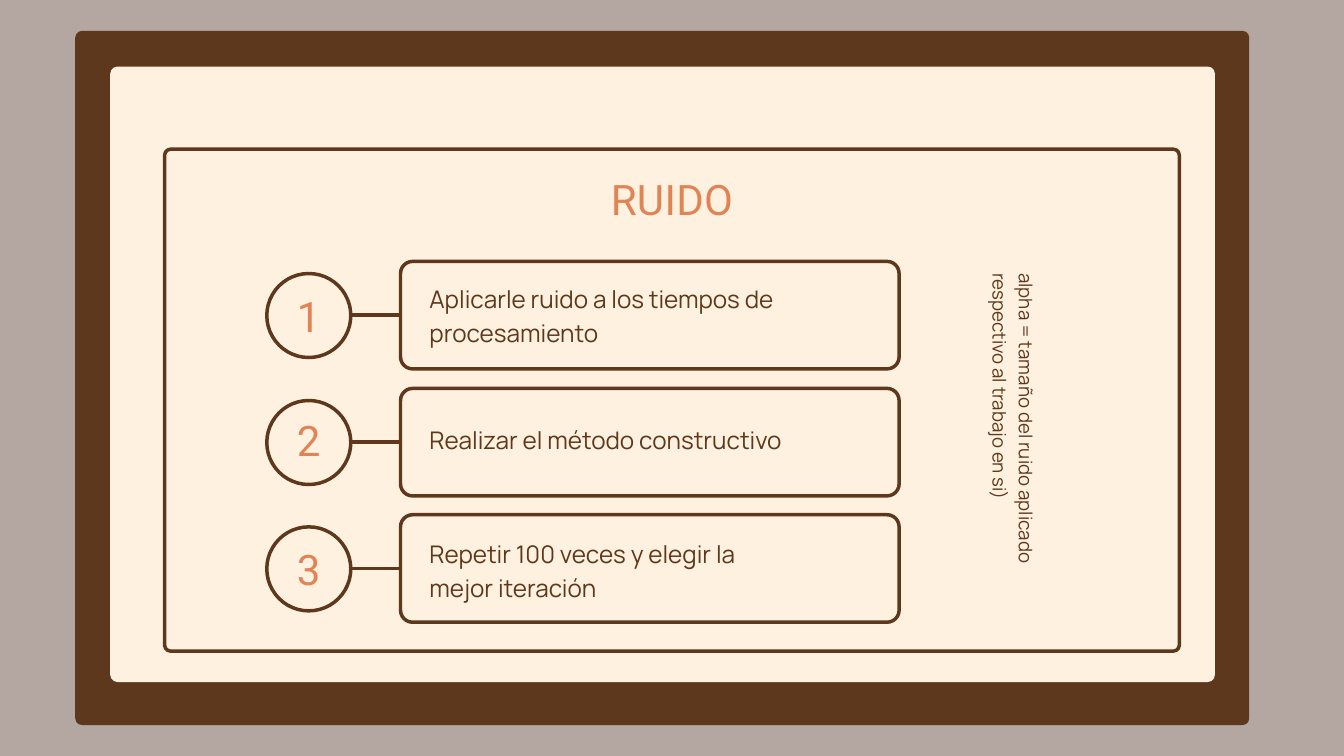
from dataclasses import dataclass

from pptx import Presentation
from pptx.dml.color import RGBColor
from pptx.enum.shapes import MSO_CONNECTOR, MSO_SHAPE
from pptx.enum.text import MSO_AUTO_SIZE, PP_ALIGN
from pptx.oxml.xmlchemy import OxmlElement
from pptx.shapes.autoshape import Shape
from pptx.slide import Slide
from pptx.util import Emu, Pt

ROUND = MSO_SHAPE.ROUNDED_RECTANGLE
OVAL = MSO_SHAPE.OVAL
LINE = MSO_CONNECTOR.STRAIGHT
GROW = MSO_AUTO_SIZE.SHAPE_TO_FIT_TEXT
LEFT = PP_ALIGN.LEFT
CENTER = PP_ALIGN.CENTER
SCALE = 9144


@dataclass(frozen=True)
class Style:
    font: str
    size: float
    lead: float
    color: str
    align: PP_ALIGN = LEFT
    space: int = 0


@dataclass(frozen=True)
class Theme:
    back: str = "B4A6A1"
    brown: str = "5D381C"
    cream: str = "FFF1DF"
    stroke: float = 3.75
    head: Style = Style("Roboto", 45, 58, "E18455", CENTER, 40)
    body: Style = Style("Manrope", 26, 36.4, "5D381C")
    note: Style = Style("Manrope", 20, 28, "5D381C")


@dataclass(frozen=True)
class Box:
    x: int
    y: int
    w: int
    h: int


@dataclass(frozen=True)
class Step:
    mid: int
    digit: str
    digit_top: int
    text: str
    text_top: int
    text_width: int
    text_height: int


THEME = Theme()
STEPS = (
    Step(469, "1", 427, "Aplicarle ruido a los tiempos de procesamiento", 416, 647, 100),
    Step(658, "2", 612, "Realizar el método constructivo", 626, 665, 50),
    Step(846, "3", 803, "Repetir 100 veces y elegir la mejor iteración", 795, 554, 100),
)


def px(value: int) -> Emu:
    return Emu(value * SCALE)


def place(box: Box) -> tuple[Emu, Emu, Emu, Emu]:
    return px(box.x), px(box.y), px(box.w), px(box.h)


def rgb(color: str) -> RGBColor:
    return RGBColor.from_string(color)


def panel(slide: Slide, box: Box, radius: int = 0, fill: str = "") -> None:
    shape = slide.shapes.add_shape(ROUND if radius else OVAL, *place(box))
    shape.shadow.inherit = False
    if radius:
        shape.adjustments[0] = radius / min(box.w, box.h)
    if fill:
        shape.fill.solid()
        shape.fill.fore_color.rgb = rgb(fill)
        shape.line.fill.background()
    else:
        shape.fill.background()
        shape.line.color.rgb = rgb(THEME.brown)
        shape.line.width = Pt(THEME.stroke)


def link(slide: Slide, start: int, end: int, y: int) -> None:
    line = slide.shapes.add_connector(LINE, px(start), px(y), px(end), px(y))
    line.line.color.rgb = rgb(THEME.brown)
    line.line.width = Pt(THEME.stroke)
    line._element.spPr.append(OxmlElement("a:effectLst"))


def label(slide: Slide, box: Box, text: str, style: Style) -> Shape:
    shape = slide.shapes.add_textbox(*place(box))
    frame = shape.text_frame
    frame.word_wrap = True
    frame.auto_size = GROW
    frame.margin_left = frame.margin_right = 0
    frame.margin_top = frame.margin_bottom = 0
    para = frame.paragraphs[0]
    para.alignment = style.align
    para.line_spacing = Pt(style.lead)
    run = para.add_run()
    run.text = text
    run.font.name = style.font
    run.font.size = Pt(style.size)
    run.font.color.rgb = rgb(style.color)
    if style.space:
        run._r.get_or_add_rPr().set("spc", str(style.space))
    return shape


def draw(slide: Slide, step: Step) -> None:
    panel(slide, Box(397, step.mid - 62, 125, 125))
    panel(slide, Box(596, step.mid - 80, 742, 160), 18)
    link(slide, 522, 596, step.mid)
    label(slide, Box(353, step.digit_top, 213, 80), step.digit, THEME.head)
    area = Box(639, step.text_top, step.text_width, step.text_height)
    label(slide, area, step.text, THEME.body)


def main() -> None:
    deck = Presentation()
    deck.slide_width, deck.slide_height = px(2000), px(1125)
    slide = deck.slides.add_slide(deck.slide_layouts[6])
    slide.background.fill.solid()
    slide.background.fill.fore_color.rgb = rgb(THEME.back)

    panel(slide, Box(112, 46, 1747, 1033), 10, THEME.brown)
    panel(slide, Box(164, 99, 1644, 916), 11, THEME.cream)
    panel(slide, Box(245, 222, 1510, 747), 9)
    label(slide, Box(529, 253, 942, 80), "RUIDO", THEME.head)
    for step in STEPS:
        draw(slide, step)
    text = "alpha = tamaño del ruido aplicado respectivo al trabajo en si)"
    note = label(slide, Box(1256, 621, 508, 79), text, THEME.note)
    note.rotation = 90
    deck.save("out.pptx")


if __name__ == "__main__":
    main()
